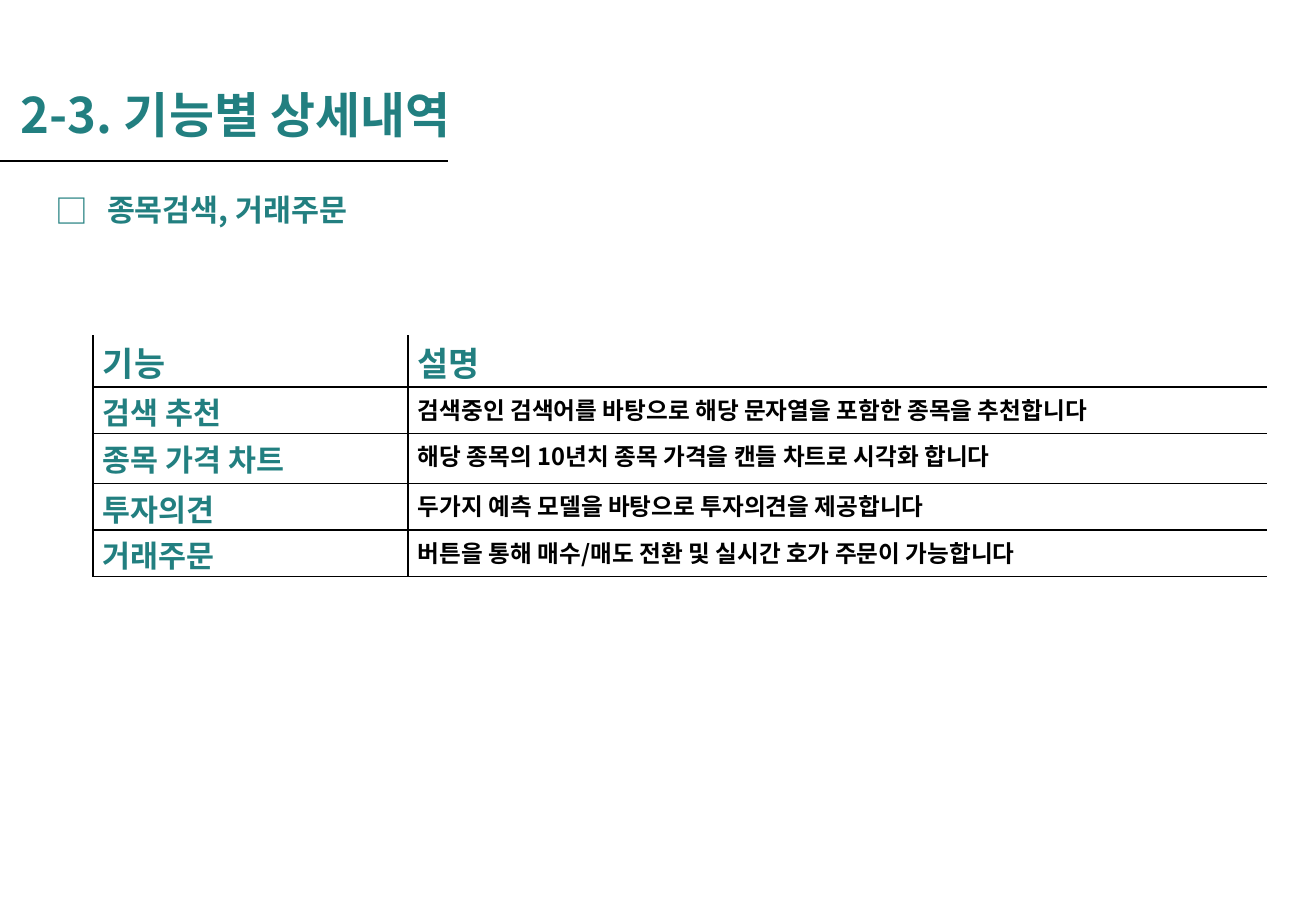
from dataclasses import dataclass

from lxml.etree import SubElement
from pptx import Presentation
from pptx.dml.color import RGBColor
from pptx.enum.shapes import MSO_CONNECTOR
from pptx.enum.text import MSO_ANCHOR, MSO_AUTO_SIZE, PP_ALIGN
from pptx.oxml.ns import qn
from pptx.util import Pt

TITLE = "2-3. 기능별 상세내역"
SECTION = "종목검색, 거래주문"
HEADER = ("기능", "설명")
FEATURES = [
    ("검색 추천", "검색중인 검색어를 바탕으로 해당 문자열을 포함한 종목을 추천합니다"),
    ("종목 가격 차트", "해당 종목의 10년치 종목 가격을 캔들 차트로 시각화 합니다"),
    ("투자의견", "두가지 예측 모델을 바탕으로 투자의견을 제공합니다"),
    ("거래주문", "버튼을 통해 매수/매도 전환 및 실시간 호가 주문이 가능합니다"),
]
COLUMN_WIDTHS = (44, 315, 858)
ROW_HEIGHTS = (51, 46, 50, 46, 46)
TABLE_LEFT, TABLE_TOP = 49, 336
EMU_PER_PX = 7526


@dataclass(frozen=True)
class Theme:
    font: str = "Noto Sans CJK KR"
    accent: str = "227F80"
    ink: str = "000000"
    paper: str = "FFFFFF"
    title: float = 29
    header: float = 20
    feature: float = 18
    description: float = 14
    tight_line: float = 1.2


THEME = Theme()


def px(length):
    return length * EMU_PER_PX


def style_paragraph(paragraph, size, color):
    font = paragraph.font
    font.name = THEME.font
    font.size = Pt(size)
    font.bold = True
    font.color.rgb = RGBColor.from_string(color)
    properties = paragraph._p.get_or_add_pPr().find(qn("a:defRPr"))
    SubElement(properties, qn("a:ea")).set("typeface", THEME.font)


def place_text(shape, box, text, wrap):
    shape.left, shape.top, shape.width, shape.height = map(px, box)
    frame = shape.text_frame
    frame.text = text
    frame.word_wrap = wrap
    frame.auto_size = MSO_AUTO_SIZE.NONE
    frame.vertical_anchor = MSO_ANCHOR.TOP
    frame.margin_left = frame.margin_right = px(10)
    frame.margin_top = frame.margin_bottom = px(5)
    paragraph = frame.paragraphs[0]
    paragraph.alignment = PP_ALIGN.LEFT
    paragraph.space_before = Pt(0)
    return paragraph


def add_square_bullet(paragraph, indent):
    properties = paragraph._p.get_or_add_pPr()
    properties.set("marL", str(px(indent)))
    properties.set("indent", str(-px(indent)))
    for tag, name, value in (
        ("a:buSzPct", "val", "108000"),
        ("a:buFont", "typeface", THEME.font),
        ("a:buChar", "char", "□"),
    ):
        SubElement(properties, qn(tag)).set(name, value)


def set_borders(cell, colors):
    properties = cell._tc.get_or_add_tcPr()
    for side, color in zip("LRTB", colors):
        line = SubElement(properties, qn(f"a:ln{side}"), w=str(Pt(1)))
        fill = SubElement(line, qn("a:solidFill"))
        SubElement(fill, qn("a:srgbClr"), val=color)


def fill_cell(cell, text, size, color, tight):
    cell.text = text
    cell.margin_left = cell.margin_right = px(10)
    cell.margin_top = px(10 if tight else 5)
    cell.margin_bottom = 0
    paragraph = cell.text_frame.paragraphs[0]
    if tight:
        paragraph.line_spacing = Pt(size * THEME.tight_line)
    style_paragraph(paragraph, size, color)


def add_feature_table(slide):
    rows = [HEADER, *FEATURES]
    frame = slide.shapes.add_table(
        len(rows), len(COLUMN_WIDTHS), px(TABLE_LEFT), px(TABLE_TOP),
        px(sum(COLUMN_WIDTHS)), px(sum(ROW_HEIGHTS)))
    table = frame.table
    table.first_row = table.horz_banding = False
    for column, width in zip(table.columns, COLUMN_WIDTHS):
        column.width = px(width)
    for row, height in zip(table.rows, ROW_HEIGHTS):
        row.height = px(height)

    ink, paper = THEME.ink, THEME.paper
    for index, (feature, description) in enumerate(rows):
        spacer, name, detail = (table.cell(index, column) for column in range(3))
        top = ink if index else paper
        set_borders(spacer, (paper, ink, paper, paper))
        set_borders(name, (ink, ink, top, ink))
        set_borders(detail, (ink, paper, top, ink))
        for cell in (spacer, name, detail):
            cell.fill.background()
        spacer.margin_top = spacer.margin_bottom = 0
        if index:
            fill_cell(name, feature, THEME.feature, THEME.accent, True)
            fill_cell(detail, description, THEME.description, ink, False)
        else:
            fill_cell(name, feature, THEME.header, THEME.accent, True)
            fill_cell(detail, description, THEME.header, THEME.accent, True)
    table.cell(1, 0).merge(table.cell(len(FEATURES), 0))


def main():
    presentation = Presentation()
    presentation.slide_width, presentation.slide_height = px(1316), px(911)
    slide = presentation.slides.add_slide(presentation.slide_layouts[1])

    rule = slide.shapes.add_connector(
        MSO_CONNECTOR.STRAIGHT, 0, px(161), px(448), px(161))
    rule.line.color.rgb = RGBColor.from_string(THEME.ink)
    rule.line.width = Pt(1.5)
    SubElement(rule._element.spPr, qn("a:effectLst"))

    title = place_text(slide.shapes.title, (11, 80, 491, 82), TITLE, False)
    style_paragraph(title, THEME.title, THEME.accent)

    section = place_text(slide.placeholders[1], (45, 186, 447, 50), SECTION, True)
    add_square_bullet(section, 52)
    style_paragraph(section, THEME.feature, THEME.accent)

    add_feature_table(slide)
    presentation.save("out.pptx")


if __name__ == "__main__":
    main()
